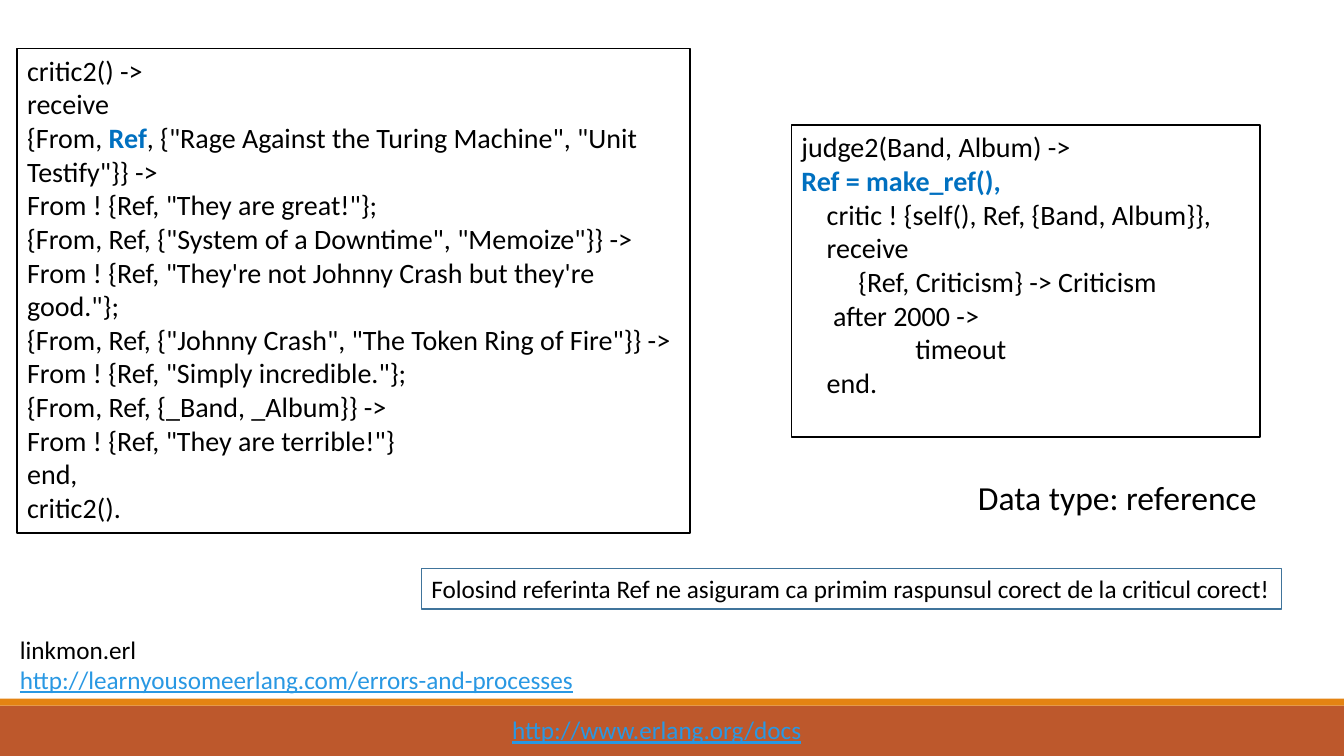
import pptx
import pptx.util
import pptx.dml.color
import pptx.enum.shapes
import pptx.enum.text

WIDTH, HEIGHT = 13.33, 7.5
FONT = "Calibri"
COLORS = {
    "paper": "FFFFFF",
    "ink": "000000",
    "key": "0070C0",
    "link": "2998E3",
    "note": "40749B",
    "footer": "BD582C",
    "stripe": "E48312",
}

CRITIC_CODE = [
    ["critic2() ->"],
    ["receive"],
    ["{From, ", ("Ref", "key"), ', {"Rage Against the Turing Machine", "Unit Testify"}} ->'],
    ['From ! {Ref, "They are great!"};'],
    ['{From, Ref, {"System of a Downtime", "Memoize"}} ->'],
    ['From ! {Ref, "They\'re not Johnny Crash but they\'re good."};'],
    ['{From, Ref, {"Johnny Crash", "The Token Ring of Fire"}} ->'],
    ['From ! {Ref, "Simply incredible."};'],
    ["{From, Ref, {_Band, _Album}} ->"],
    ['From ! {Ref, "They are terrible!"}'],
    ["end,"],
    ["critic2()."],
]

JUDGE_CODE = [
    ["judge2(Band, Album) ->"],
    [("Ref = make_ref(),", "key")],
    ["    critic ! {self(), Ref, {Band, Album}},"],
    ["    receive"],
    ["         {Ref, Criticism} -> Criticism"],
    ["     after 2000 ->"],
    ["                  timeout"],
    ["    end."],
]


def color(name):
    return pptx.dml.color.RGBColor.from_string(COLORS[name])


def place(left, top, width, height):
    shares = ((left, WIDTH), (top, HEIGHT), (width, WIDTH), (height, HEIGHT))
    return [pptx.util.Inches(share / 100 * full) for share, full in shares]


def add_panel(page, area, fill, line=None):
    panel = page.shapes.add_shape(pptx.enum.shapes.MSO_SHAPE.RECTANGLE, *place(*area))
    panel.shadow.inherit = False
    panel.fill.solid()
    panel.fill.fore_color.rgb = color(fill)
    if line:
        panel.line.color.rgb = color(line)
        panel.line.width = pptx.util.Pt(1.25)
    else:
        panel.line.fill.background()
    return panel


def write(box, lines, size, wrap=False):
    frame = box.text_frame
    frame.word_wrap = wrap
    frame.vertical_anchor = pptx.enum.text.MSO_ANCHOR.TOP
    for index, line in enumerate(lines):
        para = frame.paragraphs[0] if index == 0 else frame.add_paragraph()
        para.alignment = pptx.enum.text.PP_ALIGN.LEFT
        for piece in line:
            text, style = (piece, "ink") if isinstance(piece, str) else piece
            span = para.add_run()
            span.text = text
            span.font.name = FONT
            span.font.size = pptx.util.Pt(size)
            span.font.color.rgb = color(style)
            span.font.bold = style == "key"
            span.font.underline = style == "link"


def add_label(page, area, lines, size=18):
    write(page.shapes.add_textbox(*place(*area)), lines, size)


def add_code(page, area, lines):
    write(add_panel(page, area, "paper", "ink"), lines, 20, wrap=True)


def add_footer(page):
    add_panel(page, (0, 93.33, 100, 6.67), "footer")
    add_panel(page, (0, 92.4, 100, 0.93), "stripe")
    add_label(page, (37.36, 93.87, 23.33, 5.33), [[("http://www.erlang.org/docs", "link")]])


def main():
    deck = pptx.Presentation()
    deck.slide_width = pptx.util.Inches(WIDTH)
    deck.slide_height = pptx.util.Inches(HEIGHT)
    page = deck.slides.add_slide(deck.slide_layouts[6])
    page.background.fill.solid()
    page.background.fill.fore_color.rgb = color("paper")

    add_footer(page)
    add_code(page, (58.89, 16.53, 34.88, 41.33), JUDGE_CODE)
    add_code(page, (1.28, 6.4, 50.04, 64.13), CRITIC_CODE)
    add_label(page, (0.75, 83.2, 43.14, 13.47), [
        ["linkmon.erl"],
        [("http://learnyousomeerlang.com/errors-and-processes", "link")],
    ])
    add_label(page, (72.02, 62.4, 22.51, 6.67), [["Data type: reference"]], 24)
    note = add_panel(page, (31.36, 75.2, 63.99, 5.33), "paper", "note")
    write(note, [["Folosind referinta Ref ne asiguram ca primim raspunsul corect de la criticul corect!"]], 18)
    deck.save("out.pptx")


if __name__ == "__main__":
    main()
